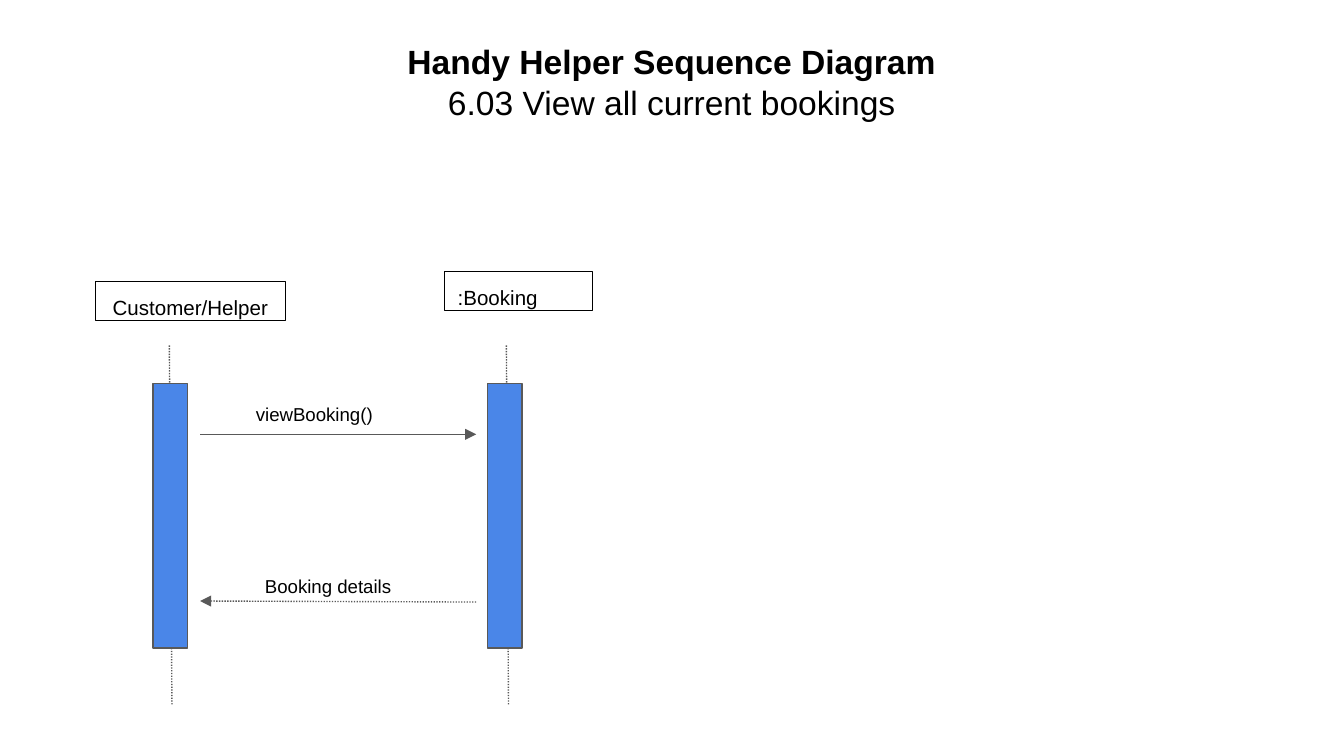
from lxml import etree
from pptx import Presentation
from pptx.dml.color import RGBColor
from pptx.enum.dml import MSO_LINE
from pptx.enum.shapes import MSO_CONNECTOR, MSO_SHAPE
from pptx.enum.text import MSO_ANCHOR, PP_ALIGN
from pptx.oxml.ns import qn
from pptx.util import Cm, Pt

RECTANGLE = MSO_SHAPE.RECTANGLE
STRAIGHT = MSO_CONNECTOR.STRAIGHT
DOTTED = MSO_LINE.ROUND_DOT
TOP, MIDDLE = MSO_ANCHOR.TOP, MSO_ANCHOR.MIDDLE
LEFT, CENTER = PP_ALIGN.LEFT, PP_ALIGN.CENTER
BLACK, GREY, BLUE = "000000", "595959", "4A86E8"


def paint(color_format, hex_color):
    color_format.rgb = RGBColor.from_string(hex_color)


def write(frame, lines, size, align, anchor):
    """Fill a text frame with (text, bold) lines, one paragraph each."""
    frame.word_wrap = True
    frame.vertical_anchor = anchor
    frame.margin_left = frame.margin_right = Cm(0.25)
    frame.margin_top = frame.margin_bottom = Cm(0.25)
    for number, (text, bold) in enumerate(lines):
        paragraph = frame.add_paragraph() if number else frame.paragraphs[0]
        paragraph.alignment = align
        paragraph.space_before = Pt(0)
        run = paragraph.add_run()
        run.text = text
        run.font.name = "Arial"
        run.font.size = Pt(size)
        run.font.bold = bold
        paint(run.font.color, BLACK)


prs = Presentation()
prs.slide_width, prs.slide_height = Cm(25.4), Cm(14.29)
slide = prs.slides.add_slide(prs.slide_layouts[5])
shapes = slide.shapes

# Title
title = shapes.title
title.left, title.top, title.width, title.height = Cm(0.86), Cm(0.53), Cm(23.67), Cm(1.6)
write(title.text_frame,
      [("Handy Helper Sequence Diagram", True), ("6.03 View all current bookings", False)],
      18, CENTER, TOP)

# Participants: name, head left, top, width, alignment, lifeline start and end x, bar left
participants = [
    (":Booking", 8.4, 5.13, 2.8, LEFT, 9.57, 9.61, 9.21),
    ("Customer/Helper", 1.8, 5.32, 3.6, CENTER, 3.2, 3.25, 2.89),
]
# Lines: start x, y, end x, y, dotted, arrowhead
lines = []
for name, left, top, width, align, start_x, end_x, bar_left in participants:
    head = shapes.add_shape(RECTANGLE, Cm(left), Cm(top), Cm(width), Cm(0.74))
    head.shadow.inherit = False
    head.fill.background()
    paint(head.line.color, BLACK)
    head.line.width = Pt(0.75)
    write(head.text_frame, [(name, False)], 11, align, TOP)
    lines.append((start_x, 6.53, end_x, 13.34, True, False))

# Messages: call and dotted return
lines += [
    (3.78, 8.21, 9.0, 8.21, False, True),
    (9.0, 11.38, 3.78, 11.36, True, True),
]
for x1, y1, x2, y2, dotted, arrow in lines:
    connector = shapes.add_connector(STRAIGHT, Cm(x1), Cm(y1), Cm(x2), Cm(y2))
    paint(connector.line.color, GREY)
    connector.line.width = Pt(0.75)
    if dotted:
        connector.line.dash_style = DOTTED
    if arrow:
        etree.SubElement(connector.line._get_or_add_ln(), qn("a:tailEnd"), type="triangle")
    etree.SubElement(connector._element.spPr, qn("a:effectLst"))

# Activation bars, over the lifelines
for *_, bar_left in participants:
    bar = shapes.add_shape(RECTANGLE, Cm(bar_left), Cm(7.25), Cm(0.66), Cm(5))
    bar.shadow.inherit = False
    bar.fill.solid()
    paint(bar.fill.fore_color, BLUE)
    paint(bar.line.color, GREY)
    bar.line.width = Pt(0.75)

# Message labels
for message, left, top in [("viewBooking()", 4.01, 7.54), ("Booking details", 4.27, 10.8)]:
    label = shapes.add_textbox(Cm(left), Cm(top), Cm(3.86), Cm(0.56))
    write(label.text_frame, [(message, False)], 10, CENTER, MIDDLE)

prs.save("out.pptx")
